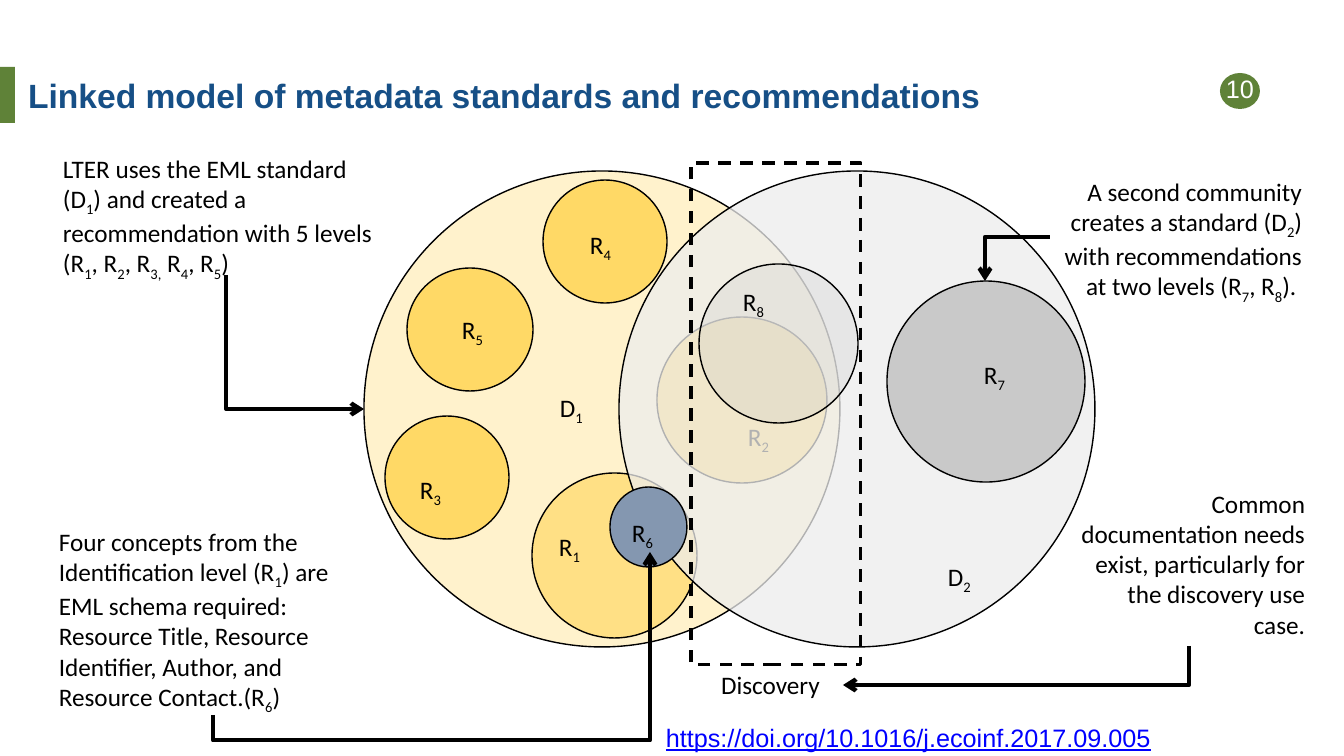
from pptx import Presentation
from pptx.dml.color import RGBColor
from pptx.enum.dml import MSO_LINE
from pptx.enum.shapes import MSO_CONNECTOR, MSO_SHAPE
from pptx.enum.text import MSO_ANCHOR, MSO_AUTO_SIZE, PP_ALIGN
from pptx.oxml.ns import qn
from pptx.util import Emu, Pt
from lxml.etree import SubElement

BLACK = RGBColor(0x00, 0x00, 0x00)
WHITE = RGBColor(0xFF, 0xFF, 0xFF)
GREEN = RGBColor(0x5F, 0x82, 0x38)
NAVY = RGBColor(0x16, 0x4F, 0x86)
LINK = RGBColor(0x00, 0x00, 0xFF)
CREAM = RGBColor(0xFF, 0xF2, 0xCC)
GOLD = RGBColor(0xFF, 0xD9, 0x66)
PALE = RGBColor(0xED, 0xED, 0xED)
GREY = RGBColor(0xC9, 0xC9, 0xC9)
SLATE = RGBColor(0x84, 0x97, 0xB0)

TITLE = "Linked model of metadata standards and recommendations"
TITLE_BOX = (18, 67, 1142, 56)
BAR = (0, 67, 15, 56)
BADGE = (1220, 73, 40, 36)
DISCOVERY_FRAME = (691, 163, 170, 502)

# Text between bars is subscript.
GROUPS = [
    [
        ("D|1|", (364, 171, 476, 476), CREAM, 100, (550, 387, 44, 40)),
        ("R|5|", (407, 268, 126, 123), GOLD, 100, (452, 309, 42, 40)),
        ("R|1|", (532, 473, 165, 165), GOLD, 69, (549, 526, 75, 40)),
        ("R|2|", (657, 317, 170, 166), GOLD, 100, (738, 416, 42, 40)),
        ("R|4|", (543, 180, 124, 123), GOLD, 100, (580, 224, 50, 40)),
        ("R|3|", (385, 416, 124, 123), GOLD, 100, (410, 469, 58, 40)),
    ],
    [
        ("D|2|", (619, 171, 476, 476), PALE, 75, (938, 556, 44, 40)),
        ("R|7|", (887, 281, 198, 201), GREY, 100, (974, 354, 42, 40)),
        ("R|8|", (699, 264, 159, 159), GREY, 25, (733, 281, 42, 40)),
    ],
    [
        ("R|6|", (610, 487, 77, 80), SLATE, 100, (622, 512, 56, 40)),
    ],
]

NOTES = [
    ("Discovery", (699, 664, 143, 40), PP_ALIGN.CENTER),
    ("LTER uses the EML standard (D|1|) and created a recommendation with 5 levels "
     "(R|1|, R|2|, R|3,| R|4|, R|5|)", (53, 148, 345, 132), PP_ALIGN.LEFT),
    ("A second community creates a standard (D|2|) with recommendations at two levels "
     "(R|7|, R|8|). ", (1050, 171, 262, 132), PP_ALIGN.RIGHT),
    ("Four concepts from the Identification level (R|1|) are EML schema required: "
     "Resource Title, Resource Identifier, Author, and Resource Contact.(R|6|)",
     (49, 521, 329, 194), PP_ALIGN.LEFT),
    ("Common documentation needs exist, particularly for the discovery use case.",
     (1061, 483, 254, 163), PP_ALIGN.RIGHT),
]
URL = "https://doi.org/10.1016/j.ecoinf.2017.09.005"
URL_BOX = (656, 717, 515, 40)

ARROWS = [
    ((226, 275), (364, 409), "bentConnector2", 270, ("flipH",), None),
    ((213, 715), (650, 552), "bentConnector3", 90, ("flipH", "flipV"), -15600),
    ((1050, 237), (985, 281), "bentConnector2", 180, ("flipV",), None),
    ((1189, 646), (843, 685), "bentConnector2", 90, (), None),
]


def px(*values):
    return [Emu(round(v * 914400 / 100.8)) for v in values]


def add_preset(shapes, kind, box, fill=None, alpha=100, line=None, width=1):
    sp = shapes.add_shape(kind, *px(*box))
    sp.shadow.inherit = False
    if fill is None:
        sp.fill.background()
    else:
        sp.fill.solid()
        sp.fill.fore_color.rgb = fill
        if alpha < 100:
            color = sp.element.spPr.find(qn("a:solidFill"))[0]
            SubElement(color, qn("a:alpha")).set("val", str(alpha * 1000))
    if line is None:
        sp.line.fill.background()
    else:
        sp.line.color.rgb = line
        sp.line.width = Pt(width)
    return sp


def style(p, size, name, color):
    p.font.size, p.font.name = Pt(size), name
    p.font.color.rgb = color


def add_text(shapes, text, box, align=PP_ALIGN.LEFT, name="Calibri", color=BLACK):
    tf = shapes.add_textbox(*px(*box)).text_frame
    tf.word_wrap = box[2] >= 50
    tf.auto_size = MSO_AUTO_SIZE.SHAPE_TO_FIT_TEXT
    p = tf.paragraphs[0]
    p.alignment = align
    for i, part in enumerate(text.split("|")):
        if part:
            r = p.add_run()
            r.text = part
            if i % 2:
                r.font._element.set("baseline", "-25000")
    style(p, 18, name, color)
    return p


def add_arrow(shapes, start, end, kind, turn, flips, bend):
    (x1, y1), (x2, y2) = start, end
    w, h = abs(x2 - x1), abs(y2 - y1)
    if turn % 180:
        w, h = h, w
    left, top = (x1 + x2 - w) / 2, (y1 + y2 - h) / 2
    c = shapes.add_connector(MSO_CONNECTOR.ELBOW, *px(left, top, left + w, top + h))
    c.line.color.rgb = BLACK
    c.line.width = Pt(3)
    spPr = c.element.spPr
    xfrm = spPr.find(qn("a:xfrm"))
    xfrm.set("rot", str(turn * 60000))
    for flip in flips:
        xfrm.set(flip, "1")
    geom = spPr.find(qn("a:prstGeom"))
    geom.set("prst", kind)
    if bend is not None:
        guide = SubElement(geom.find(qn("a:avLst")), qn("a:gd"))
        guide.set("name", "adj1")
        guide.set("fmla", f"val {bend}")
    SubElement(spPr.find(qn("a:ln")), qn("a:tailEnd")).set("type", "arrow")
    SubElement(spPr, qn("a:effectLst"))


def main():
    prs = Presentation()
    prs.slide_width, prs.slide_height = px(1344, 756)
    s = prs.slides.add_slide(prs.slide_layouts[5])

    title = s.shapes.title
    title.left, title.top, title.width, title.height = px(*TITLE_BOX)
    tf = title.text_frame
    tf.text = TITLE
    tf.vertical_anchor = MSO_ANCHOR.MIDDLE
    p = tf.paragraphs[0]
    p.alignment = PP_ALIGN.LEFT
    style(p, 24, "Arial", NAVY)
    p.font.bold = True

    add_preset(s.shapes, MSO_SHAPE.RECTANGLE, BAR, GREEN)
    tf = add_preset(s.shapes, MSO_SHAPE.OVAL, BADGE, GREEN).text_frame
    tf.margin_left = tf.margin_right = tf.margin_top = tf.margin_bottom = 0
    tf.word_wrap = False
    tf.vertical_anchor = MSO_ANCHOR.MIDDLE
    tf.text = "10"
    p = tf.paragraphs[0]
    p.alignment = PP_ALIGN.CENTER
    p.line_spacing = 0.8
    style(p, 18, "Arial", WHITE)

    for circles in GROUPS:
        shapes = s.shapes.add_group_shape().shapes
        for label, box, fill, alpha, label_box in circles:
            add_preset(shapes, MSO_SHAPE.OVAL, box, fill, alpha, BLACK)
            add_text(shapes, label, label_box)

    frame = add_preset(s.shapes, MSO_SHAPE.RECTANGLE, DISCOVERY_FRAME, line=BLACK, width=2.25)
    frame.line.dash_style = MSO_LINE.DASH
    for text, box, align in NOTES:
        add_text(s.shapes, text, box, align)
    for arrow in ARROWS:
        add_arrow(s.shapes, *arrow)
    add_text(s.shapes, URL, URL_BOX, name="Arial", color=LINK).font.underline = True

    prs.save("out.pptx")


if __name__ == "__main__":
    main()
